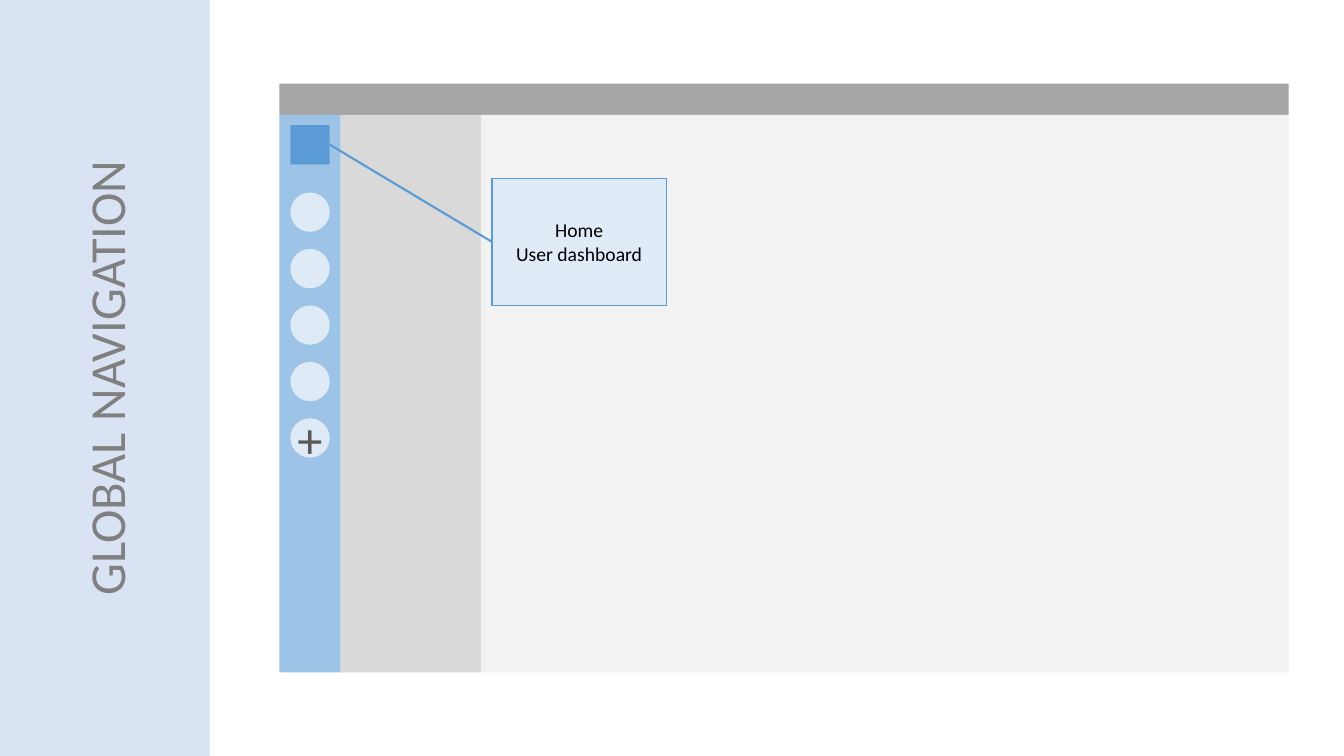
from lxml import etree
from pptx import Presentation
from pptx.dml.color import RGBColor
from pptx.enum.shapes import MSO_CONNECTOR, MSO_SHAPE
from pptx.enum.text import MSO_ANCHOR, PP_ALIGN
from pptx.oxml.ns import qn
from pptx.util import Inches, Pt

ACCENT, PALE_BLUE = "5B9BD5", "DEEBF7"


def add_block(left, top, width, height, fill, kind=MSO_SHAPE.RECTANGLE):
    """Add a filled shape without outline or shadow, sized in inches."""
    shape = slide.shapes.add_shape(
        kind, Inches(left), Inches(top), Inches(width), Inches(height))
    shape.shadow.inherit = False
    shape.fill.solid()
    shape.fill.fore_color.rgb = RGBColor.from_string(fill)
    shape.line.fill.background()
    return shape


def write_text(shape, lines, size, color):
    """Write centred Calibri paragraphs in a shape."""
    frame = shape.text_frame
    frame.word_wrap = True
    frame.vertical_anchor = MSO_ANCHOR.MIDDLE
    frame.text = "\n".join(lines)
    for paragraph in frame.paragraphs:
        paragraph.alignment = PP_ALIGN.CENTER
        font = paragraph.runs[0].font
        font.name, font.size = "Calibri", Pt(size)
        font.color.rgb = RGBColor.from_string(color)


prs = Presentation()
prs.slide_width, prs.slide_height = Inches(13.33), Inches(7.5)
slide = prs.slides.add_slide(prs.slide_layouts[6])

# Application window: top bar above three columns
window_left, bar_top, bar_height = 2.77, 0.83, 0.31
body_top = bar_top + bar_height
columns = [(0.61, "9DC3E6"), (1.39, "D9D9D9"), (8.01, "F2F2F2")]
add_block(window_left, bar_top, sum(width for width, _ in columns), bar_height, "A6A6A6")
left = window_left
for width, fill in columns:
    add_block(left, body_top, width, 5.53, fill)
    left += width

# Side title
title = add_block(0, 0, 2.08, 7.5, "DAE3F3")
write_text(title, ["GLOBAL NAVIGATION"], 36, "808080")
title.text_frame._txBody.bodyPr.set("vert", "vert270")

# Navigation icons
icon_left, icon_size = 2.88, 0.39
home_icon = add_block(icon_left, 1.24, icon_size, icon_size, ACCENT)
for row in range(5):
    nav_icon = add_block(icon_left, 1.91 + 0.56 * row, icon_size, icon_size,
                         PALE_BLUE, MSO_SHAPE.OVAL)
add_icon = nav_icon
write_text(add_icon, ["+"], 36, "595959")
frame = add_icon.text_frame
frame.margin_left = frame.margin_right = frame.margin_top = frame.margin_bottom = 0

# Callout for the home icon
callout = add_block(4.88, 1.77, 1.73, 1.26, PALE_BLUE)
callout.line.color.rgb = RGBColor.from_string(ACCENT)
callout.line.width = Pt(1)
write_text(callout, ["Home", "User dashboard"], 14, "000000")
fill_color = callout.fill._xPr.find(qn("a:solidFill"))[0]
etree.SubElement(fill_color, qn("a:alpha")).set("val", "90000")

leader = slide.shapes.add_connector(MSO_CONNECTOR.STRAIGHT, 0, 0, 0, 0)
leader.begin_connect(home_icon, 3)
leader.end_connect(callout, 1)
leader.line.color.rgb = RGBColor.from_string(ACCENT)
leader.line.width = Pt(1.5)
etree.SubElement(leader._element.spPr, qn("a:effectLst"))

prs.save("out.pptx")
